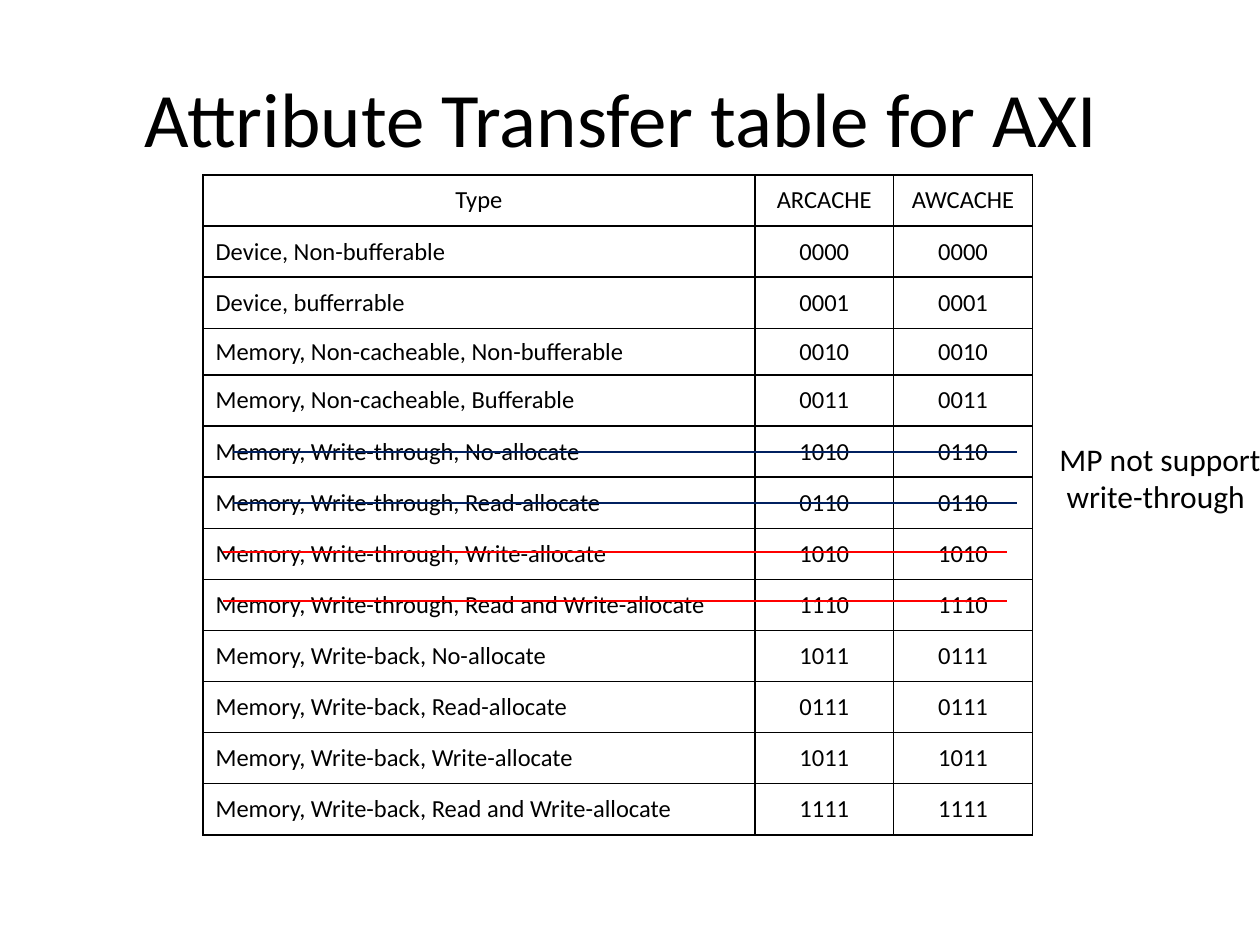
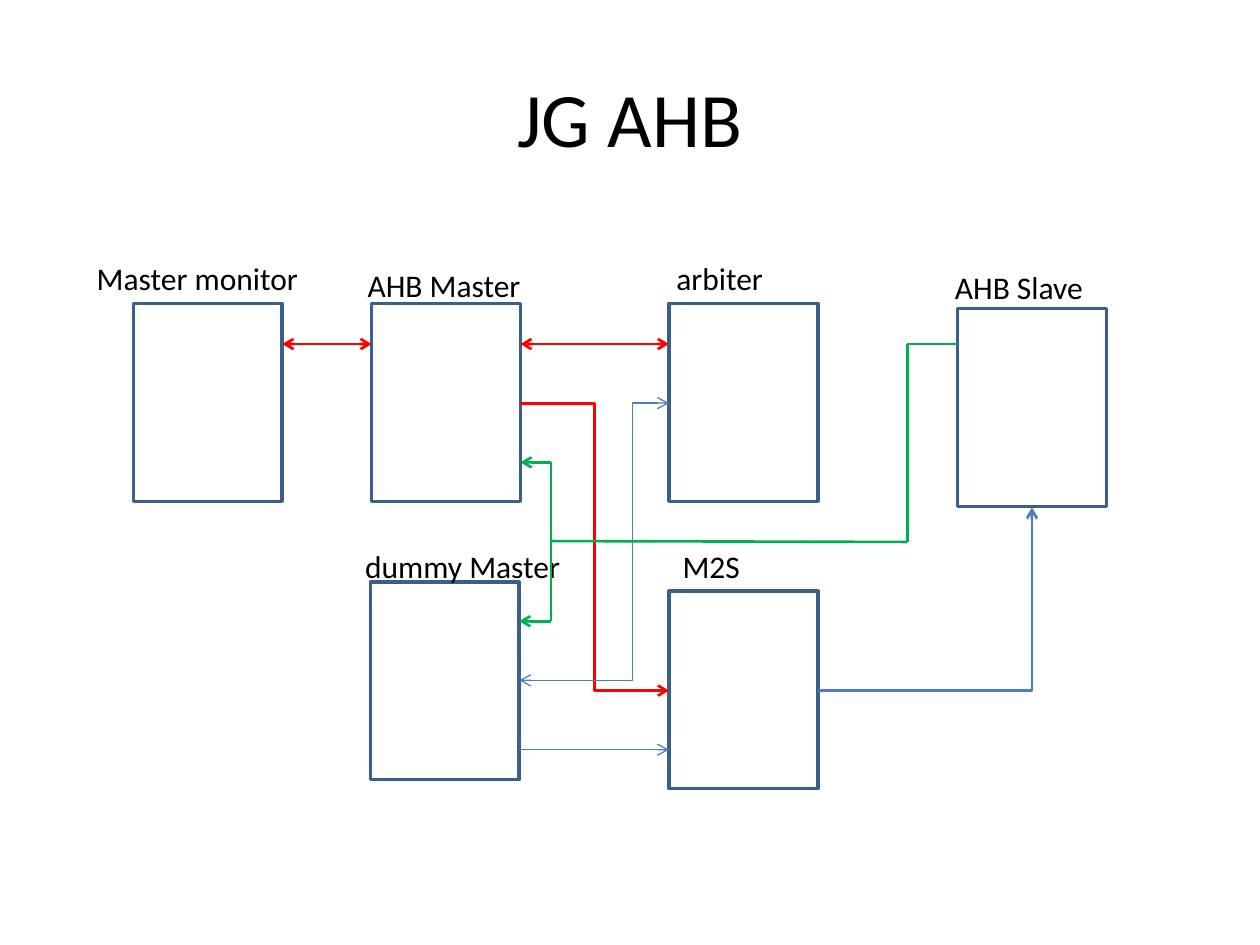
import pptx
import pptx.util
import pptx.dml.color
import pptx.enum.shapes
import pptx.enum.text
import pptx.oxml.ns
from lxml import etree

Pt = pptx.util.Pt
RGBColor = pptx.dml.color.RGBColor
MSO_CONNECTOR = pptx.enum.shapes.MSO_CONNECTOR
MSO_ANCHOR = pptx.enum.text.MSO_ANCHOR
PP_ALIGN = pptx.enum.text.PP_ALIGN
MSO_AUTO_SIZE = pptx.enum.text.MSO_AUTO_SIZE
qn = pptx.oxml.ns.qn

BLACK = RGBColor(0x00, 0x00, 0x00)
RED = RGBColor(0xFF, 0x00, 0x00)
NAVY = RGBColor(0x00, 0x20, 0x60)
GREEN = RGBColor(0x00, 0xB0, 0x50)
BLUE = RGBColor(0x4B, 0x7E, 0xBC)
BLOCK_BLUE = RGBColor(0x3A, 0x5F, 0x8C)
FONT = "Calibri"


def add_text(slide, left, top, width, height, text, size=18, title=False):
    frame = slide.shapes.add_textbox(Pt(left), Pt(top), Pt(width), Pt(height)).text_frame
    frame.word_wrap = title
    frame.auto_size = MSO_AUTO_SIZE.NONE if title else MSO_AUTO_SIZE.SHAPE_TO_FIT_TEXT
    frame.vertical_anchor = MSO_ANCHOR.MIDDLE if title else MSO_ANCHOR.TOP
    frame.text = text
    for paragraph in frame.paragraphs:
        paragraph.alignment = PP_ALIGN.CENTER if title else PP_ALIGN.LEFT
        paragraph.font.name = FONT
        paragraph.font.size = Pt(size)
        paragraph.font.color.rgb = BLACK


def add_line(slide, start, end, color, width, arrows="", kind=MSO_CONNECTOR.STRAIGHT):
    line = slide.shapes.add_connector(kind, *[Pt(value) for value in (*start, *end)])
    line.line.color.rgb = color
    line.line.width = Pt(width)
    outline = line.line._get_or_add_ln()
    for arrow_end in ("headEnd", "tailEnd"):
        if arrow_end in arrows:
            etree.SubElement(outline, qn(f"a:{arrow_end}"), type="arrow")
    etree.SubElement(line._element.spPr, qn("a:effectLst"))
    return line


deck = pptx.Presentation()
deck.slide_width = Pt(720)
deck.slide_height = Pt(540)

axi, ahb = [deck.slides.add_slide(deck.slide_layouts[6]) for _ in range(2)]
for slide, title in ((axi, "Attribute Transfer table for AXI "), (ahb, "JG AHB")):
    add_text(slide, 36, 21.6, 648, 90, title, size=44, title=True)

cache_rows = [
    ("Type", "ARCACHE", "AWCACHE"),
    ("Device, Non-bufferable", "0000", "0000"),
    ("Device, bufferrable", "0001", "0001"),
    ("Memory, Non-cacheable, Non-bufferable", "0010", "0010"),
    ("Memory, Non-cacheable, Bufferable", "0011", "0011"),
    ("Memory, Write-through, No-allocate", "1010", "0110"),
    ("Memory, Write-through, Read-allocate", "0110", "0110"),
    ("Memory, Write-through, Write-allocate", "1010", "1010"),
    ("Memory, Write-through, Read and Write-allocate", "1110", "1110"),
    ("Memory, Write-back, No-allocate", "1011", "0111"),
    ("Memory, Write-back, Read-allocate", "0111", "0111"),
    ("Memory, Write-back, Write-allocate", "1011", "1011"),
    ("Memory, Write-back, Read and Write-allocate", "1111", "1111"),
]
cache_table = axi.shapes.add_table(
    len(cache_rows), 3, Pt(116), Pt(100), Pt(474), Pt(377)).table
cache_table.first_row = False
cache_table.horz_banding = False
for column, width in zip(cache_table.columns, (315.4, 79.3, 79.3)):
    column.width = Pt(width)
for row_index, values in enumerate(cache_rows):
    cache_table.rows[row_index].height = Pt(26.7 if row_index == 3 else 29.2)
    for column_index, value in enumerate(values):
        cell = cache_table.cell(row_index, column_index)
        cell.text = value
        cell.vertical_anchor = MSO_ANCHOR.MIDDLE
        paragraph = cell.text_frame.paragraphs[0]
        centred = row_index == 0 or column_index > 0
        paragraph.alignment = PP_ALIGN.CENTER if centred else PP_ALIGN.LEFT
        paragraph.font.name = FONT
        paragraph.font.size = Pt(14)
        paragraph.font.bold = False
        paragraph.font.color.rgb = BLACK
        properties = cell._tc.get_or_add_tcPr()
        for side in ("lnL", "lnR", "lnT", "lnB"):
            border = etree.SubElement(properties, qn(f"a:{side}"), w=str(Pt(1)))
            border_fill = etree.SubElement(border, qn("a:solidFill"))
            etree.SubElement(border_fill, qn("a:srgbClr"), val=str(BLACK))
        cell.fill.background()

for left, top, color in ((127.4, 315.4, RED), (127.4, 343.4, RED),
                         (133.2, 258.5, NAVY), (133.2, 287.3, NAVY)):
    add_line(axi, (left, top), (left + 447.8, top), color, 1)
add_text(axi, 598.3, 247.7, 131, 51, "MP not support\n write-through")

BLOCK_WIDTH, BLOCK_HEIGHT = 85, 113
blocks = [
    (76.3, 173.5, "Master monitor", 48.2, 144.7, 131),
    (212.4, 173.5, "AHB Master", 203, 148.3, 103),
    (382.3, 173.5, "arbiter", 379.4, 144.7, 64.8),
    (547.2, 176.4, "AHB Slave", 538.6, 149.8, 88.6),
    (211.7, 332.6, "dummy Master", 201.6, 308.9, 127.4),
    (382.3, 337.7, "M2S", 383, 308.9, 47.5),
]
for left, top, label, label_left, label_top, label_width in blocks:
    block = ahb.shapes.add_shape(
        pptx.enum.shapes.MSO_SHAPE.RECTANGLE,
        Pt(left), Pt(top), Pt(BLOCK_WIDTH), Pt(BLOCK_HEIGHT))
    block.shadow.inherit = False
    block.fill.background()
    block.line.color.rgb = BLOCK_BLUE
    block.line.width = Pt(2)
    add_text(ahb, label_left, label_top, label_width, 28.8, label)

MONITOR_RIGHT, MASTER_LEFT, MASTER_RIGHT, DUMMY_RIGHT = 161.3, 212.4, 297.4, 296.7
ARBITER_LEFT, SLAVE_LEFT = 382.3, 547.2
REQUEST_Y, GRANT_Y, RESPONSE_Y, BUS_Y, DUMMY_RESPONSE_Y = 196.6, 230.4, 264.2, 309.2, 355
RESPONSE_X, SLAVE_BUS_X = 314.8, 518.4
BOTH = "headEnd tailEnd"

add_line(ahb, (MONITOR_RIGHT, REQUEST_Y), (MASTER_LEFT, REQUEST_Y), RED, 1.5, BOTH)
add_line(ahb, (MASTER_RIGHT, REQUEST_Y), (ARBITER_LEFT, REQUEST_Y), RED, 1.5, BOTH)
add_line(ahb, (MASTER_RIGHT, GRANT_Y), (ARBITER_LEFT, 394.6), RED, 1.5, "tailEnd",
         MSO_CONNECTOR.ELBOW)
add_line(ahb, (DUMMY_RIGHT, 428.4), (ARBITER_LEFT, 428.4), BLUE, 0.75, "tailEnd")

dummy_grant = add_line(ahb, (DUMMY_RIGHT, 388.8), (ARBITER_LEFT, GRANT_Y), BLUE, 0.75, BOTH,
                       MSO_CONNECTOR.ELBOW)
adjustments = dummy_grant._element.spPr.find(qn("a:prstGeom")).get_or_add_avLst()
etree.SubElement(adjustments, qn("a:gd"), name="adj1", fmla="val 75600")

slave_request = add_line(ahb, (467.6, 394.6), (589.7, 290), BLUE, 1.5, "tailEnd",
                         MSO_CONNECTOR.ELBOW)
slave_request._element.spPr.find(qn("a:prstGeom")).set("prst", "bentConnector2")

response_path = [
    ((SLAVE_BUS_X, REQUEST_Y), (SLAVE_LEFT, REQUEST_Y), ""),
    ((SLAVE_BUS_X, REQUEST_Y), (SLAVE_BUS_X, BUS_Y + 0.5), ""),
    ((SLAVE_BUS_X, BUS_Y + 0.5), (RESPONSE_X, BUS_Y), ""),
    ((RESPONSE_X, RESPONSE_Y), (RESPONSE_X, DUMMY_RESPONSE_Y), ""),
    ((RESPONSE_X, DUMMY_RESPONSE_Y), (DUMMY_RIGHT, DUMMY_RESPONSE_Y), "tailEnd"),
    ((RESPONSE_X, RESPONSE_Y), (MASTER_RIGHT, RESPONSE_Y), "tailEnd"),
]
for start, end, arrows in response_path:
    add_line(ahb, start, end, GREEN, 1.5, arrows)

deck.save("out.pptx")
